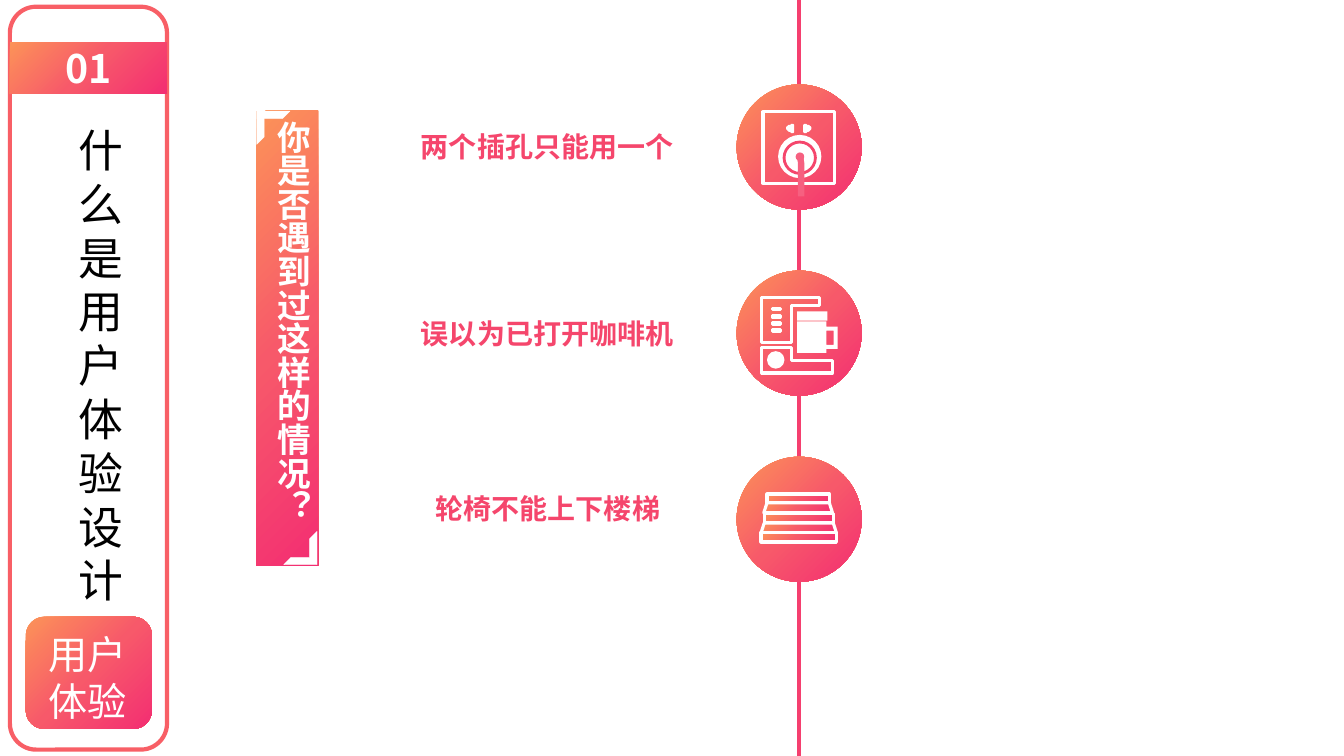
from copy import deepcopy
from lxml.etree import SubElement
from pptx import Presentation
from pptx.dml.color import RGBColor
from pptx.enum.shapes import MSO_CONNECTOR, MSO_SHAPE as Kind
from pptx.enum.text import MSO_ANCHOR as Anchor, MSO_AUTO_SIZE as Auto, PP_ALIGN as Align
from pptx.oxml.ns import qn
from pptx.util import Cm, Pt

FONT = "Noto Sans CJK SC"
WHITE = RGBColor(0xFF, 0xFF, 0xFF)
BLACK = RGBColor(0x00, 0x00, 0x00)
CORAL = RGBColor(0xF8, 0x5F, 0x66)
ROSE = RGBColor(0xF5, 0x46, 0x6C)
PINK = RGBColor(0xF6, 0x60, 0x80)
TRACK = RGBColor(0xF5, 0x3F, 0x6F)
BLEND = [RGBColor(0xFC, 0x93, 0x58), RGBColor(0xF7, 0x59, 0x6A), RGBColor(0xF3, 0x2E, 0x72)]


def paint(shape, fill=None, line=None, width=2.25):
    """Style a shape; a list as fill means a diagonal gradient."""
    shape.shadow.inherit = False
    if fill is None:
        shape.fill.background()
    elif isinstance(fill, list):
        shape.fill.gradient()
        shape.fill.gradient_angle = 315
        stops = shape._element.spPr.find(".//" + qn("a:gsLst"))
        stops.insert(1, deepcopy(stops[0]))
        for i, stop in enumerate(shape.fill.gradient_stops):
            stop.position = i / 2
            stop.color.rgb = fill[i]
    else:
        shape.fill.solid()
        shape.fill.fore_color.rgb = fill
    if line is None:
        shape.line.fill.background()
    else:
        shape.line.color.rgb = line
        shape.line.width = Pt(width)
    return shape


def write(shape, text, size, color, bold=False, align=Align.CENTER, pitch=None):
    """Fill a shape with one paragraph; pitch is the line height in points."""
    frame = shape.text_frame
    frame.word_wrap = True
    frame.vertical_anchor = Anchor.TOP
    frame.auto_size = Auto.SHAPE_TO_FIT_TEXT
    par = frame.paragraphs[0]
    par.text = text
    par.alignment = align
    if pitch:
        par.line_spacing = Pt(pitch)
    font = par.font
    font.size, font.bold, font.name = Pt(size), bold, FONT
    font.color.rgb = color
    SubElement(par._p.pPr.find(qn("a:defRPr")), qn("a:ea"), typeface=FONT)
    return frame


deck = Presentation()
deck.slide_width, deck.slide_height = Cm(33.87), Cm(19.05)
shapes = deck.slides.add_slide(deck.slide_layouts[6]).shapes

# Timeline: discs joined by a vertical track
SIZE, MID = 3.15, 20.14
tops = [2.13, 6.82, 11.51]
starts = [0] + [top + SIZE for top in tops]
for start, end in zip(starts, tops + [19.05]):
    track = shapes.add_connector(MSO_CONNECTOR.STRAIGHT, Cm(MID), Cm(start), Cm(MID), Cm(end))
    track.line.color.rgb = TRACK
    track.line.width = Pt(3)
    SubElement(track._element.spPr, qn("a:effectLst"))
for top in tops:
    paint(shapes.add_shape(Kind.OVAL, Cm(MID - SIZE / 2), Cm(top), Cm(SIZE), Cm(SIZE)), BLEND)

# Plain icon parts: kind, left, top, width, height, fill, line, line width
parts = [
    (Kind.RECTANGLE, 19.23, 2.82, 1.8, 1.8, None, WHITE, 2.25),
    (Kind.OVAL, 19.61, 3.4, 1.09, 1.09, WHITE, None, 0),
    (Kind.OVAL, 19.76, 3.58, 0.79, 0.79, WHITE, ROSE, 2),
    (Kind.OVAL, 20.07, 3.86, 0.18, 0.18, PINK, PINK, 1),
    (Kind.RECTANGLE, 20.09, 7.85, 0.76, 0.23, WHITE, None, 0),
    (Kind.OVAL, 19.37, 8.89, 0.36, 0.36, WHITE, WHITE, 2.25),
]
for kind, x, y, w, h, fill, line, width in parts:
    paint(shapes.add_shape(kind, Cm(x), Cm(y), Cm(w), Cm(h)), fill, line, width)

stairs = [
    (Kind.RECTANGLE, 19.33, 12.45, 1.57),
    (Kind.RECTANGLE, 19.26, 12.93, 1.75),
    (Kind.TRAPEZOID, 19.25, 12.67, 1.73),
    (Kind.TRAPEZOID, 19.18, 13.18, 1.9),
    (Kind.RECTANGLE, 19.18, 13.41, 1.9),
]
for kind, x, y, w in stairs:
    step = paint(shapes.add_shape(kind, Cm(x), Cm(y), Cm(w), Cm(0.25)), BLEND, WHITE)
    if kind == Kind.TRAPEZOID:
        step.adjustments[0] = 0.32

# Drawn icon parts: outlines in cm
prong = [(19.94, 3.15), (19.99, 3.15), (19.99, 3.33), (19.94, 3.33), (19.94, 3.28),
         (19.89, 3.3), (19.84, 3.25), (19.84, 3.21), (19.89, 3.17), (19.94, 3.2)]
mirror = [(40.26 - x, y) for x, y in prong]
cord = [(20.12, 3.91), (20.17, 3.98), (20.19, 4.11), (20.19, 4.95)]
cup = [(21.11, 8.23), (20.83, 8.23), (20.83, 8.1), (20.09, 8.1),
       (20.09, 8.89), (20.83, 8.89), (20.83, 8.79), (21.11, 8.79)]
handle = [(21.01, 8.69), (20.83, 8.69), (20.83, 8.33), (21.01, 8.33)]
body = [(19.94, 7.7), (20.65, 7.7), (20.65, 7.49), (19.2, 7.49), (19.2, 8.64), (19.94, 8.64)]
slits = [[(19.66, y + 0.04), (19.46, y + 0.04), (19.46, y), (19.66, y)]
         for y in (7.77 + 0.18 * i for i in range(4))]
base = [(19.94, 9.09), (19.94, 8.76), (19.2, 8.76), (19.2, 9.4), (20.98, 9.4), (20.98, 9.09)]
forms = [
    ([prong], WHITE, WHITE, 1.5),
    ([mirror], WHITE, WHITE, 1.5),
    ([cord], None, PINK, 4.5),
    ([cup, handle], WHITE, None, 0),
    ([body] + slits, None, WHITE, 2.25),
    ([base], None, WHITE, 2.25),
]
for loops, fill, line, width in forms:
    pen = None
    for loop in loops:
        first, *rest = [(Cm(x), Cm(y)) for x, y in loop]
        if pen is None:
            pen = shapes.build_freeform(*first, scale=1.0)
        else:
            pen.move_to(*first)
        pen.add_line_segments(rest, close=loop is not cord)
    paint(pen.convert_to_shape(), fill, line, width)

# Vertical question banner with corner frames
banner = paint(shapes.add_shape(Kind.RECTANGLE, Cm(6.46), Cm(2.79), Cm(1.56), Cm(11.46)), BLEND)
frame = write(banner, "你是否遇到过这样的情况？", 24, WHITE, True)
frame._txBody.bodyPr.set("vert", "eaVert")
for x, y, turn in [(6.47, 2.8, 0), (7.15, 13.39, 180)]:
    corner = shapes.add_shape(Kind.HALF_FRAME, Cm(x), Cm(y), Cm(0.84), Cm(0.84))
    paint(corner, WHITE, WHITE, 0.25).rotation = turn
    corner.adjustments[0] = corner.adjustments[1] = 0.224

# Situations
cases = [
    ("两个插孔只能用一个", 3.15, Align.LEFT),
    ("误以为已打开咖啡机", 7.85, Align.LEFT),
    ("轮椅不能上下楼梯", 12.25, Align.CENTER),
]
for text, y, align in cases:
    box = shapes.add_textbox(Cm(10.36), Cm(y), Cm(6.9), Cm(1.11))
    write(box, text, 20, ROSE, True, align, pitch=24)

# Chapter card
card = shapes.add_shape(Kind.ROUNDED_RECTANGLE, Cm(0.25), Cm(0.17), Cm(3.96), Cm(18.72))
paint(card, WHITE, CORAL, 3)
title = shapes.add_textbox(Cm(1.73), Cm(2.97), Cm(0.99), Cm(12.57))
write(title, "什么是用户体验设计", 32, BLACK, pitch=38.4)
badge = shapes.add_shape(Kind.ROUNDED_RECTANGLE, Cm(0.65), Cm(15.54), Cm(3.18), Cm(2.83))
paint(badge, BLEND)
topic = shapes.add_textbox(Cm(0.65), Cm(15.76), Cm(3.13), Cm(2.64))
write(topic, "用户体验", 28, WHITE, pitch=33.6)
number = paint(shapes.add_shape(Kind.RECTANGLE, Cm(0.25), Cm(1.06), Cm(3.96), Cm(1.31)), BLEND)
frame = write(number, "01", 28, WHITE, True)
frame.auto_size = Auto.NONE
frame.vertical_anchor = Anchor.MIDDLE

deck.save("out.pptx")
